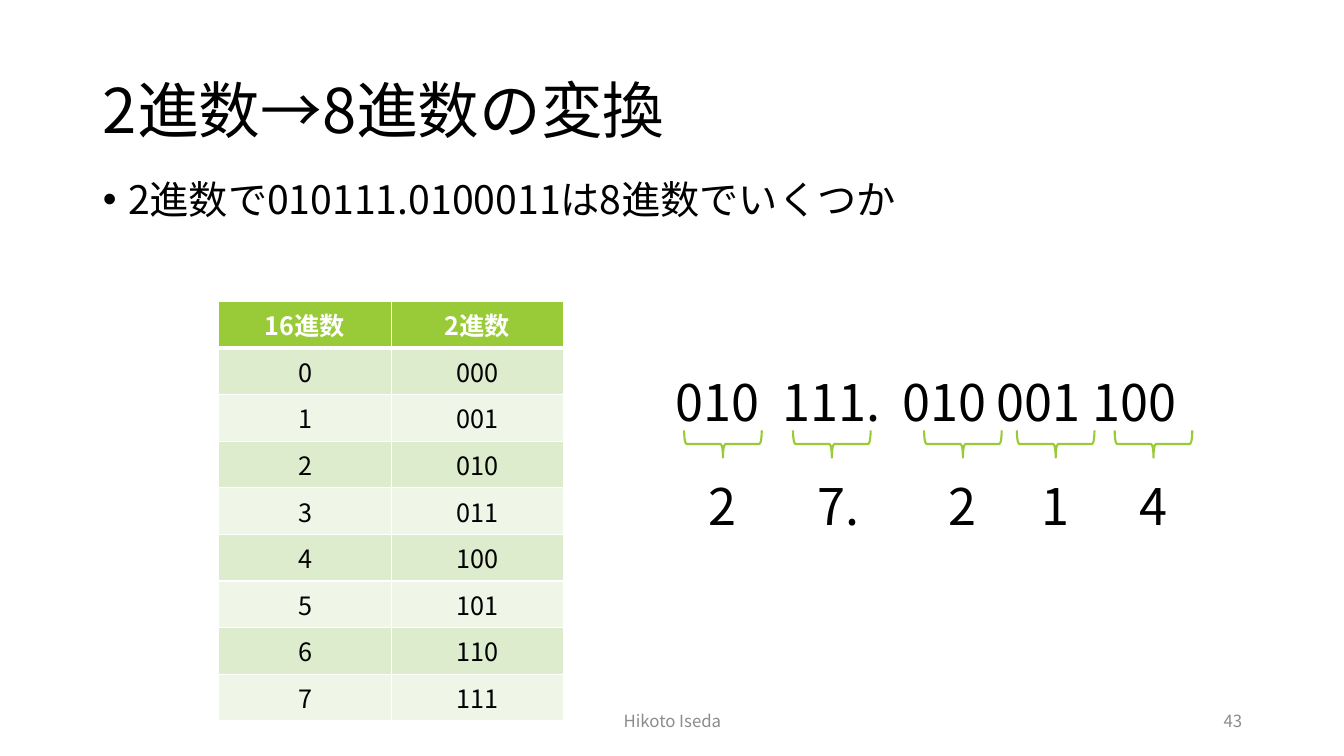
from lxml.etree import SubElement
from pptx import Presentation
from pptx.dml.color import RGBColor
from pptx.enum.shapes import MSO_SHAPE as SHAPE
from pptx.enum.text import MSO_ANCHOR as ANCHOR, MSO_AUTO_SIZE as AUTO, PP_ALIGN as ALIGN
from pptx.oxml import parse_xml
from pptx.oxml.ns import nsdecls, qn
from pptx.util import Inches, Pt

FONT = "Noto Sans CJK JP"
BLACK = RGBColor(0x00, 0x00, 0x00)
WHITE = RGBColor(0xFF, 0xFF, 0xFF)
GRAY = RGBColor(0x8C, 0x8C, 0x8C)
GREEN = RGBColor(0x99, 0xCB, 0x38)
BAND_DARK = RGBColor(0xDE, 0xEC, 0xCE)
BAND_LIGHT = RGBColor(0xEF, 0xF6, 0xE8)


def add_run(p, text, size, color=BLACK, bold=False):
    r = p.add_run()
    r.text = text
    r.font.size = Pt(size)
    r.font.bold = bold
    r.font.color.rgb = color
    r.font.name = FONT
    SubElement(r.font._element, qn("a:ea"), typeface=FONT)


def place(sp, left, top, width, height):
    sp.left, sp.top = Inches(left), Inches(top)
    sp.width, sp.height = Inches(width), Inches(height)


def add_label(slide, box, text, size, color=BLACK, align=ALIGN.LEFT, anchor=ANCHOR.TOP, wrap=True):
    tf = slide.shapes.add_textbox(*map(Inches, box)).text_frame
    tf.word_wrap = wrap
    tf.auto_size = AUTO.NONE if wrap else AUTO.SHAPE_TO_FIT_TEXT
    tf.vertical_anchor = anchor
    p = tf.paragraphs[0]
    p.alignment = align
    add_run(p, text, size, color)
    return p


def fill_title(slide, box, text):
    title = slide.shapes.title
    place(title, *box)
    title.text_frame.vertical_anchor = ANCHOR.MIDDLE
    p = title.text_frame.paragraphs[0]
    p.alignment = ALIGN.LEFT
    p.line_spacing = 0.9
    add_run(p, text, 44)


def fill_body(slide, box, text):
    body = slide.placeholders[1]
    place(body, *box)
    p = body.text_frame.paragraphs[0]
    pPr = p._p.get_or_add_pPr()
    pPr.set("marL", str(Inches(0.25)))
    pPr.set("indent", str(-Inches(0.25)))
    SubElement(pPr, qn("a:buFont"), typeface="Arial")
    SubElement(pPr, qn("a:buChar"), char="•")
    p.line_spacing = 0.9
    p.space_before = Pt(0)
    add_run(p, text, 28)


def set_borders(cell, widths):
    tcPr = cell._tc.get_or_add_tcPr()
    for i, (side, width) in enumerate(widths.items()):
        tcPr.insert(i, parse_xml(
            f'<a:ln{side} {nsdecls("a")} w="{Pt(width)}"><a:solidFill>'
            f'<a:srgbClr val="{WHITE}"/></a:solidFill></a:ln{side}>'))


def add_number_table(slide, box):
    rows = [("16進数", "2進数")] + [(str(n), f"{n:03b}") for n in range(8)]
    table = slide.shapes.add_table(len(rows), 2, *map(Inches, box)).table
    for i, row in enumerate(rows):
        header = i == 0
        for j, text in enumerate(row):
            cell = table.cell(i, j)
            cell.fill.solid()
            cell.fill.fore_color.rgb = GREEN if header else BAND_DARK if i % 2 else BAND_LIGHT
            set_borders(cell, {"L": 1, "R": 1, "T": 3 if i == 1 else 1, "B": 3 if header else 1})
            p = cell.text_frame.paragraphs[0]
            p.alignment = ALIGN.CENTER
            add_run(p, text, 18, WHITE if header else BLACK, header)


def add_brace(slide, center, top):
    width, height = 0.27, 0.77
    s = slide.shapes.add_shape(SHAPE.RIGHT_BRACE, Inches(center - width / 2), Inches(top),
                               Inches(width), Inches(height))
    s.rotation = 90
    s.shadow.inherit = False
    s.fill.background()
    s.line.color.rgb = GREEN
    s.line.width = Pt(1.5)


def add_conversion(slide, box):
    left, top, width, height = box
    p = add_label(slide, box, "010\t111.\t010\t001\t100", 36)
    tabs = SubElement(p._p.get_or_add_pPr(), qn("a:tabLst"))
    for stop in (1.06, 2.25, 3.19, 4.14):
        SubElement(tabs, qn("a:tab"), pos=str(Inches(stop)), algn="l")
    for digit, offset in (("2", 0.57), ("7.", 1.65), ("2", 2.95), ("1", 3.87), ("4", 4.84)):
        center = left + offset
        add_brace(slide, center, top + 0.39)
        digit_width = 0.48 if len(digit) == 1 else 0.65
        add_label(slide, (center - 0.24, top + 1.03, digit_width, height), digit, 36, wrap=False)


def add_footer(slide, box):
    left, top, width, height = box
    add_label(slide, (left, top, 4.5, height), "Hikoto Iseda", 12, GRAY, ALIGN.CENTER, ANCHOR.MIDDLE)
    add_label(slide, (left + width - 3, top, 3, height), "43", 12, GRAY, ALIGN.RIGHT, ANCHOR.MIDDLE)


def main():
    prs = Presentation()
    prs.slide_width, prs.slide_height = Inches(13.33), Inches(7.5)
    slide = prs.slides.add_slide(prs.slide_layouts[1])
    fill_title(slide, (0.92, 0.4, 11.5, 1.45), "2進数→8進数の変換")
    fill_body(slide, (0.92, 1.74, 12.17, 4.76), "2進数で010111.0100011は8進数でいくつか")
    add_footer(slide, (4.42, 6.95, 8, 0.4))
    add_number_table(slide, (2.17, 2.99, 3.42, 3.6))
    add_conversion(slide, (6.6, 3.63, 5.4, 0.71))
    prs.save("out.pptx")


if __name__ == "__main__":
    main()
